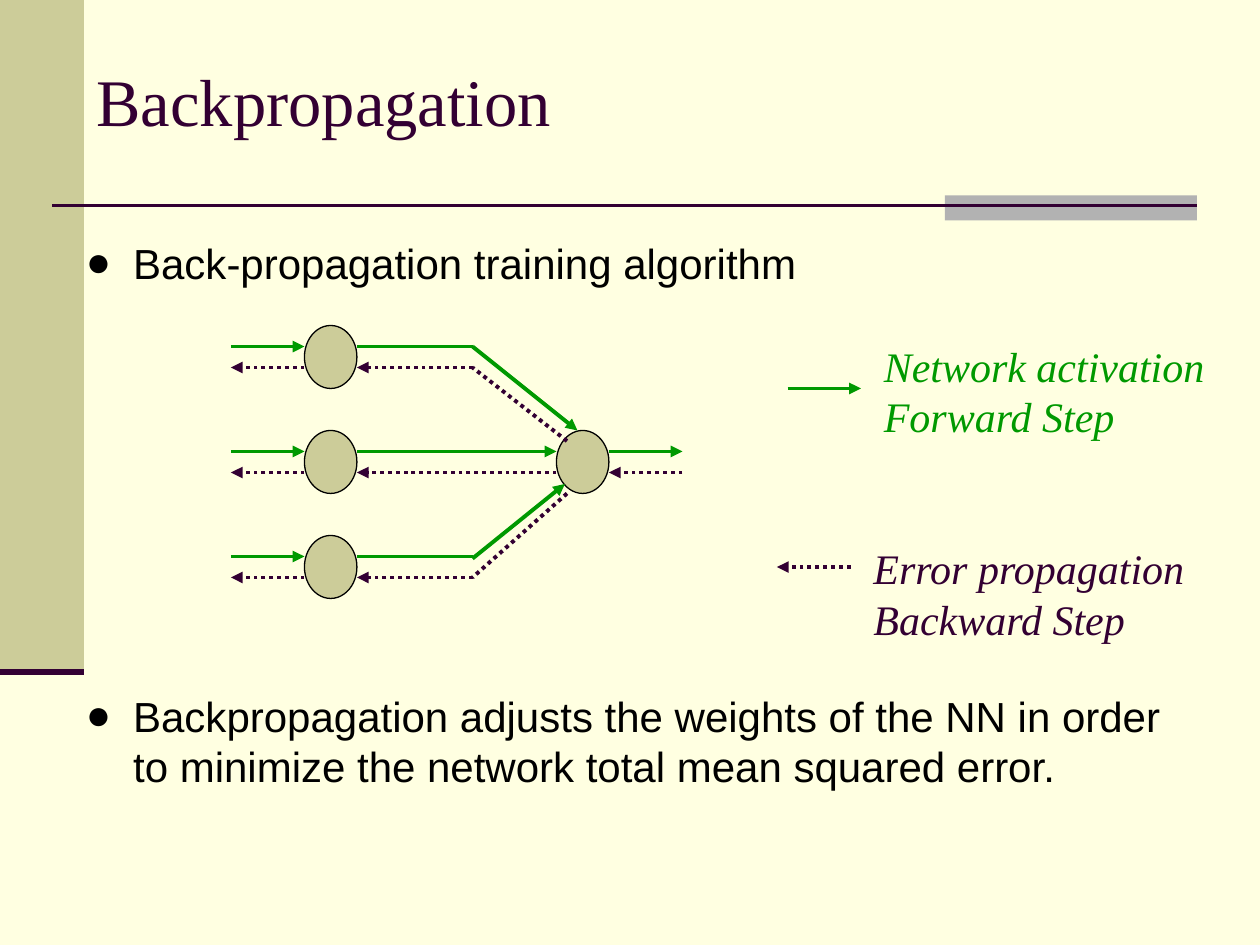
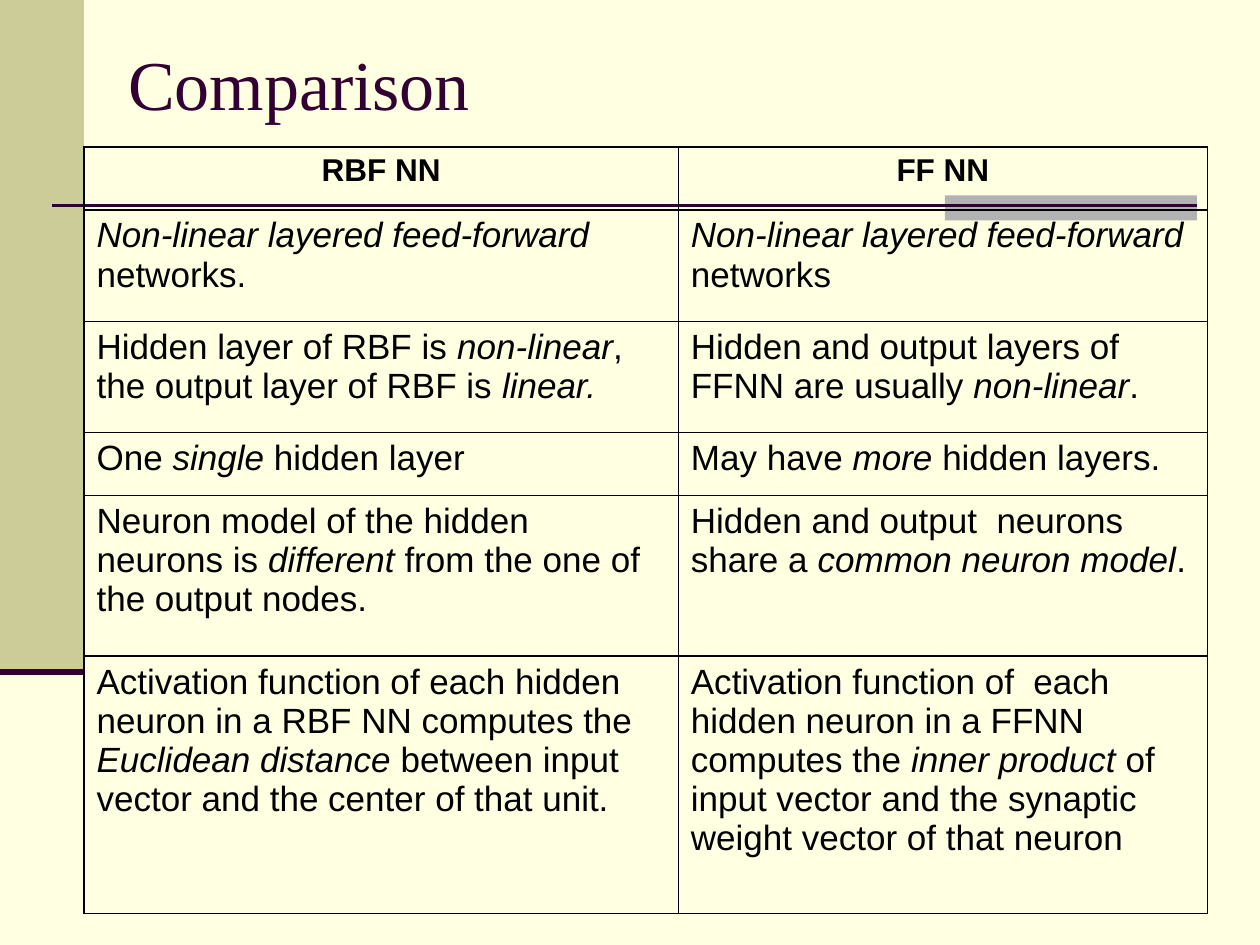
import dataclasses

import lxml.etree
import pptx
import pptx.dml.color
import pptx.enum.dml
import pptx.enum.shapes
import pptx.enum.text
import pptx.oxml.ns
import pptx.util

PX = 7620  # EMU per px: 1200 x 900 px on a 10 x 7.5 inch slide
qn = pptx.oxml.ns.qn
rgb = pptx.dml.color.RGBColor.from_string
SHAPE = pptx.enum.shapes.MSO_SHAPE
ALIGN = pptx.enum.text.PP_ALIGN


@dataclasses.dataclass(frozen=True)
class Theme:
    paper: str = "FFFFE1"
    sand: str = "CCCC99"
    gray: str = "B2B2B2"
    plum: str = "330033"
    green: str = "009900"
    black: str = "000000"
    serif: str = "Times New Roman"
    sans: str = "Arial"
    body: int = 24
    header: int = 18
    cell: int = 20


theme = Theme()


def add_line(s, start, end, color, width=2.25, dotted=False, arrow=False):
    ends = [v * PX for v in (*start, *end)]
    sp = s.shapes.add_connector(pptx.enum.shapes.MSO_CONNECTOR.STRAIGHT, *ends)
    sp.line.color.rgb = rgb(color)
    sp.line.width = pptx.util.Pt(width)
    if dotted:
        sp.line.dash_style = pptx.enum.dml.MSO_LINE.ROUND_DOT
    spPr = sp.element.spPr
    if arrow:
        lxml.etree.SubElement(spPr.find(qn("a:ln")), qn("a:tailEnd"), type="triangle")
    lxml.etree.SubElement(spPr, qn("a:effectLst"))


def add_run(p, text, font, size, color, bold=False, italic=False):
    r = p.add_run()
    r.text = text
    r.font.name = font
    r.font.size = pptx.util.Pt(size)
    r.font.color.rgb = rgb(color)
    r.font.bold = bold
    r.font.italic = italic


prs = pptx.Presentation()
prs.slide_width = 1200 * PX
prs.slide_height = 900 * PX
background = prs.slide_master.background.fill
background.solid()
background.fore_color.rgb = rgb(theme.paper)

# Shared frame and title of both slides
slides = []
for title, size, box in [
    ("Backpropagation", 38, (80, 20, 1060, 150)),
    ("Comparison", 40, (110, 33, 970, 92)),
]:
    s = prs.slides.add_slide(prs.slide_layouts[5])
    slides.append(s)
    for band, color in [((0, 0, 80, 640), theme.sand), ((900, 186, 240, 24), theme.gray)]:
        sp = s.shapes.add_shape(SHAPE.RECTANGLE, *(v * PX for v in band))
        sp.shadow.inherit = False
        sp.fill.solid()
        sp.fill.fore_color.rgb = rgb(color)
        sp.line.fill.background()
    add_line(s, (50, 196), (1140, 196), theme.plum, 1.5)
    add_line(s, (0, 640), (80, 640), theme.plum, 3.5)

    sp = s.shapes.title
    sp.left, sp.top, sp.width, sp.height = (v * PX for v in box)
    tf = sp.text_frame
    tf.vertical_anchor = pptx.enum.text.MSO_ANCHOR.MIDDLE
    p = tf.paragraphs[0]
    p.alignment = ALIGN.LEFT
    add_run(p, title, theme.serif, size, theme.plum)

network, comparison = slides

# Slide 1: bullets above and below the diagram
s = network
tf = s.shapes.add_textbox(70 * PX, 220 * PX, 1090 * PX, 560 * PX).text_frame
tf.word_wrap = True
for i, (text, before) in enumerate([
    ("Back-propagation training algorithm", 3),
    ("Backpropagation adjusts the weights of the NN in order to minimize "
     "the network total mean squared error.", 230),
]):
    p = tf.add_paragraph() if i else tf.paragraphs[0]
    p.space_before = pptx.util.Pt(before)
    add_run(p, text, theme.sans, theme.body, theme.black)
    pPr = p._p.get_or_add_pPr()
    pPr.set("marL", str(45 * PX))
    pPr.set("indent", str(-45 * PX))
    buClr = lxml.etree.SubElement(pPr, qn("a:buClr"))
    lxml.etree.SubElement(buClr, qn("a:srgbClr"), val=theme.black)
    lxml.etree.SubElement(pPr, qn("a:buFont"), typeface=theme.sans)
    lxml.etree.SubElement(pPr, qn("a:buChar"), char="●")

# Neurons: three in the hidden layer, one output
rows = [310, 410, 510]
for x, y in [(290, y) for y in rows] + [(530, 410)]:
    sp = s.shapes.add_shape(SHAPE.OVAL, x * PX, y * PX, 50 * PX, 60 * PX)
    sp.shadow.inherit = False
    sp.fill.solid()
    sp.fill.fore_color.rgb = rgb(theme.sand)
    sp.line.color.rgb = rgb(theme.black)
    sp.line.width = pptx.util.Pt(0.75)

# Forward and backward links; the outer rows stop at a bend
forward, backward = [], []
for y in rows:
    middle = y == 410
    reach = 530 if middle else 450
    forward += [((220, y + 20), (290, y + 20), True),
                ((340, y + 20), (reach, y + 20), middle)]
    backward += [((290, y + 40), (220, y + 40), True),
                 ((reach, y + 40), (340, y + 40), True)]
forward += [
    ((450, 330), (550, 410), True),
    ((450, 532), (538, 461), True),
    ((580, 430), (650, 430), True),
    ((750, 370), (820, 370), True),  # legend
]
backward += [
    ((540, 420), (450, 350), False),
    ((540, 470), (450, 550), False),
    ((650, 450), (580, 450), True),
    ((810, 540), (740, 540), True),  # legend
]
for start, end, arrow in forward:
    add_line(s, start, end, theme.green, arrow=arrow)
for start, end, arrow in backward:
    add_line(s, start, end, theme.plum, dotted=True, arrow=arrow)

# Legend texts
for x, y, width, color, lines in [
    (830, 318, 370, theme.green, ("Network activation", "Forward Step")),
    (820, 511, 340, theme.plum, ("Error propagation", "Backward Step")),
]:
    tf = s.shapes.add_textbox(x * PX, y * PX, width * PX, 108 * PX).text_frame
    tf.word_wrap = True
    for i, text in enumerate(lines):
        p = tf.add_paragraph() if i else tf.paragraphs[0]
        add_run(p, text, theme.serif, theme.body, color, italic=True)

# Slide 2: comparison table, with italics between asterisks
s = comparison
cells = [
    ("RBF NN", "FF NN"),
    ("*Non-linear layered feed-forward* networks.",
     "*Non-linear layered feed-forward* networks"),
    ("Hidden layer of RBF is *non-linear*, the output layer of RBF is *linear.*",
     "Hidden and output layers of FFNN are usually *non-linear*."),
    ("One *single* hidden layer", "May have *more* hidden layers."),
    ("Neuron model of the hidden neurons is *different* from the one of the output nodes.",
     "Hidden and output  neurons share a *common neuron model*."),
    ("Activation function of each hidden neuron in a RBF NN computes the "
     "*Euclidean distance *between input vector and the center of that unit.",
     "Activation function of  each hidden neuron in a FFNN computes the "
     "*inner product *of input vector and the synaptic weight vector of that neuron"),
]
widths = [566, 504]
heights = [60, 106, 106, 60, 153, 245]
table = s.shapes.add_table(len(heights), len(widths), 80 * PX, 140 * PX,
                           sum(widths) * PX, sum(heights) * PX).table
table.first_row = False
table.horz_banding = False
for column, width in zip(table.columns, widths):
    column.width = width * PX
for i, (row, height, texts) in enumerate(zip(table.rows, heights, cells)):
    row.height = height * PX
    header = i == 0
    for cell, text in zip(row.cells, texts):
        cell.fill.background()
        p = cell.text_frame.paragraphs[0]
        p.alignment = ALIGN.CENTER if header else ALIGN.LEFT
        for part, words in enumerate(text.split("*")):
            if words:
                add_run(p, words, theme.sans, theme.header if header else theme.cell,
                        theme.black, bold=header, italic=part % 2 == 1)
        tcPr = cell._tc.get_or_add_tcPr()
        for side, tag in enumerate(("a:lnL", "a:lnR", "a:lnT", "a:lnB")):
            ln = lxml.etree.Element(qn(tag), w=str(pptx.util.Pt(1)))
            fill = lxml.etree.SubElement(ln, qn("a:solidFill"))
            lxml.etree.SubElement(fill, qn("a:srgbClr"), val=theme.black)
            tcPr.insert(side, ln)

prs.save("out.pptx")
